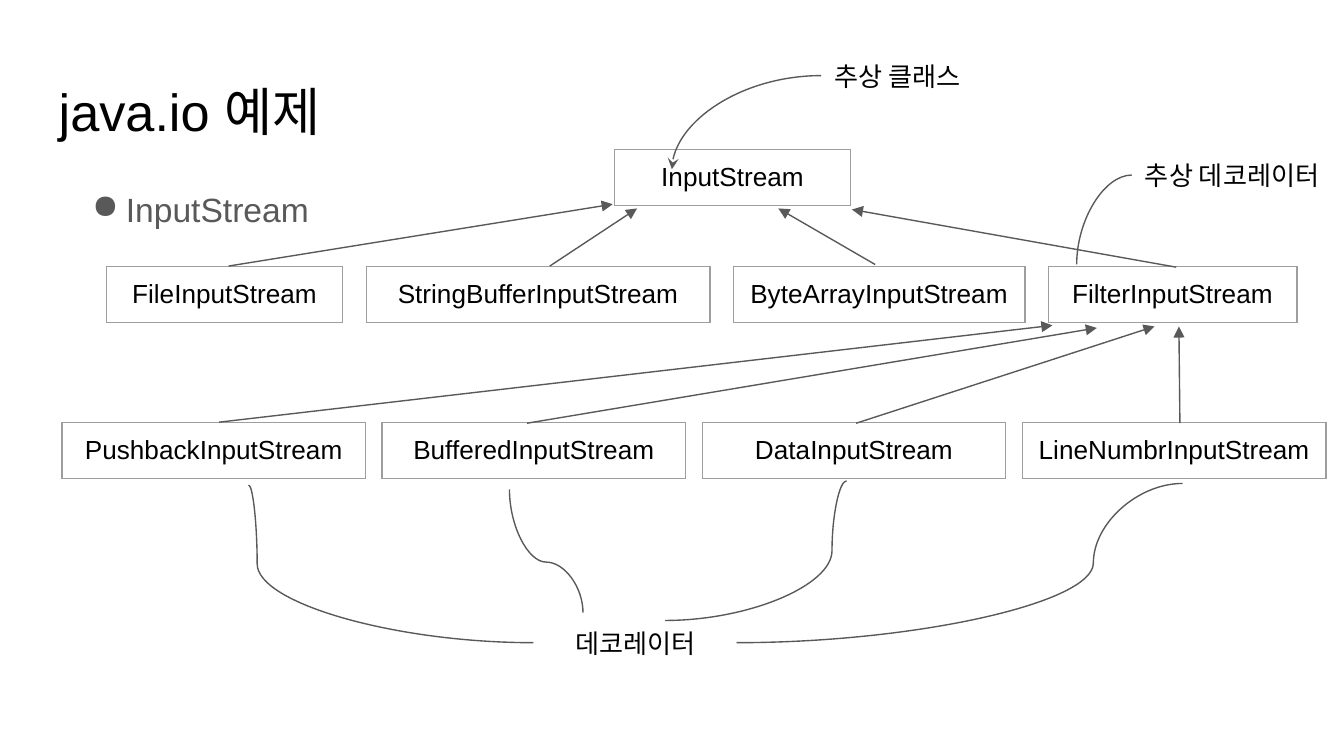
from dataclasses import dataclass

from lxml import etree
from pptx import Presentation
from pptx.dml.color import RGBColor
from pptx.enum.shapes import MSO_CONNECTOR
from pptx.enum.text import MSO_ANCHOR, MSO_AUTO_SIZE, PP_ALIGN
from pptx.oxml import parse_xml
from pptx.oxml.ns import nsdecls, qn
from pptx.util import Cm, Pt

STRAIGHT, CURVE = MSO_CONNECTOR.STRAIGHT, MSO_CONNECTOR.CURVE
LEFT, CENTER = PP_ALIGN.LEFT, PP_ALIGN.CENTER
TOP = MSO_ANCHOR.TOP
NO_FIT = MSO_AUTO_SIZE.NONE


@dataclass(frozen=True)
class Theme:
    font: str = "Arial"
    ink: str = "000000"
    grey: str = "595959"
    border: str = "9E9E9E"
    title: int = 28
    bullet: int = 18
    label: int = 14
    line: float = 0.75
    inset: float = 0.25
    box_height: float = 1.07


THEME = Theme()
MARGINS = {f"margin_{side}": Cm(THEME.inset)
           for side in ("left", "right", "top", "bottom")}


def apply(target, formats):
    for name, value in formats.items():
        setattr(target, name, value)


def write(tf, text, size, color=THEME.ink, align=LEFT):
    p = tf.paragraphs[0]
    p.alignment = align
    r = p.add_run()
    r.text = text
    apply(r.font, {"name": THEME.font, "size": Pt(size)})
    r.font.color.rgb = RGBColor.from_string(color)
    return p


def format_frame(tf):
    apply(tf, {**MARGINS, "word_wrap": True, "auto_size": NO_FIT,
               "vertical_anchor": TOP})


def add_text(s, box, text, size, color=THEME.ink, align=LEFT):
    tf = s.shapes.add_textbox(*map(Cm, box)).text_frame
    format_frame(tf)
    return write(tf, text, size, color, align)


def add_line(s, kind, start, end, head=None):
    c = s.shapes.add_connector(kind, *map(Cm, (*start, *end)))
    c.line.width = Pt(THEME.line)
    c.line.color.rgb = RGBColor.from_string(THEME.grey)
    if head:
        etree.SubElement(c.line._ln, qn("a:tailEnd"), type=head)
    etree.SubElement(c._element.spPr, qn("a:effectLst"))
    return c


def add_curve(s, start, end, adj=None, upright=False, head=None):
    """Draw an S-curve if adj is given, otherwise a quarter curve."""
    if upright:  # turn the ends back about their centre, then rotate the shape
        cx, cy = ((a + b) / 2 for a, b in zip(start, end))
        start, end = ((cx + y - cy, cy - x + cx) for x, y in (start, end))
    sp_pr = add_line(s, CURVE, start, end, head)._element.spPr
    geom = sp_pr.find(qn("a:prstGeom"))
    if upright:
        sp_pr.find(qn("a:xfrm")).set("rot", str(90 * 60000))
    if adj is None:
        geom.set("prst", "curvedConnector2")
    else:
        etree.SubElement(geom.find(qn("a:avLst")), qn("a:gd"),
                         name="adj1", fmla=f"val {round(adj * 100000)}")


def add_class(s, box, name):
    """A class is a one-cell table with a thin border."""
    table = s.shapes.add_table(1, 1, *map(Cm, box)).table
    apply(table, {"first_row": False, "horz_banding": False})
    cell = table.cell(0, 0)
    apply(cell, {**MARGINS, "vertical_anchor": TOP})
    tc_pr = cell._tc.get_or_add_tcPr()
    for side in "LRTB":
        tc_pr.append(parse_xml(
            f'<a:ln{side} {nsdecls("a")} w="{Pt(THEME.line)}"><a:solidFill>'
            f'<a:srgbClr val="{THEME.border}"/></a:solidFill></a:ln{side}>'))
    cell.fill.background()
    write(cell.text_frame, name, THEME.label, align=CENTER)


def heading(s, box):
    left, top, width, height = box
    # Title
    title = s.shapes.title
    apply(title, dict(zip(("left", "top", "width", "height"),
                          map(Cm, (left, top, width, 1.6)))))
    format_frame(title.text_frame)
    write(title.text_frame, "java.io 예제", THEME.title)
    # Bullet
    p = add_text(s, (left, top + 1.96, width, height - 1.96),
                 "InputStream", THEME.bullet, THEME.grey)
    apply(p, {"line_spacing": 1.15, "space_after": Pt(16)})
    p_pr = p._p.get_or_add_pPr()
    p_pr.set("marL", str(Cm(1.27)))
    p_pr.set("indent", str(-Cm(0.64)))
    color = etree.SubElement(p_pr, qn("a:buClr"))
    etree.SubElement(color, qn("a:srgbClr"), val=THEME.grey)
    etree.SubElement(p_pr, qn("a:buChar"), char="●")


def hierarchy(s, box):
    left, top = box[:2]
    # Rows of classes: offset in the box, gap, names with widths
    rows = [
        (10.44, 0, 0, [("InputStream", 4.47)]),
        (0.84, 2.21, 0.44, [("FileInputStream", 4.47),
                            ("StringBufferInputStream", 6.5),
                            ("ByteArrayInputStream", 5.51),
                            ("FilterInputStream", 4.7)]),
        (0, 5.16, 0.31, [(f"{name}InputStream", 5.74) for name in
                         ("Pushback", "Buffered", "Data", "LineNumbr")]),
    ]
    for x, y, gap, classes in rows:
        for name, width in classes:
            add_class(s, (left + x, top + y, width, THEME.box_height), name)
            x += width + gap
    # Inheritance arrows, from subclass to parent
    arrows = [
        (3.15, 2.21, 10.41, 1.04), (9.22, 2.21, 10.87, 1.12),
        (15.37, 2.18, 13.54, 1.12), (21.06, 2.23, 14.93, 1.14),
        (2.97, 5.16, 18.72, 3.33), (8.79, 5.18, 19.56, 3.38),
        (15.01, 5.18, 20.65, 3.35), (21.13, 5.18, 21.11, 3.35),
    ]
    for x1, y1, x2, y2 in arrows:
        add_line(s, STRAIGHT, (left + x1, top + y1), (left + x2, top + y2),
                 "triangle")


def note(s, box, text, curves, align=LEFT):
    """Label with curves given as start, end and options, relative to it."""
    left, top = box[:2]
    add_text(s, box, text, THEME.label, align=align)
    for (x1, y1), (x2, y2), options in curves:
        add_curve(s, (left + x1, top + y1), (left + x2, top + y2), **options)


def main():
    prs = Presentation()
    prs.slide_width, prs.slide_height = Cm(25.4), Cm(14.29)
    s = prs.slides.add_slide(prs.slide_layouts[5])

    heading(s, (0.86, 1.24, 23.67, 11.46))
    hierarchy(s, (1.17, 2.82, 23.89, 6.23))

    # Notes on the roles of the classes
    size = (3.86, THEME.box_height)
    note(s, (15.52, 0.89, *size), "추상 클래스",
         [((0, 0.54), (-2.82, 2.31), {"head": "stealth"})])
    note(s, (21.39, 2.77, *size), "추상 데코레이터",
         [((0, 0.54), (-1.04, 2.23), {})])
    note(s, (10.08, 11.61, *size), "데코레이터", [
        ((0, 0.54), (-5.38, -2.44), {"adj": 0.97}),
        ((0.94, -0.03), (-0.45, -2.36), {"adj": 0.41, "upright": True}),
        ((2.49, 0.12), (5.92, -2.52), {"adj": 0.92}),
        ((3.84, 0.54), (12.27, -2.47), {"adj": 0.8}),
    ], CENTER)

    prs.save("out.pptx")


if __name__ == "__main__":
    main()
